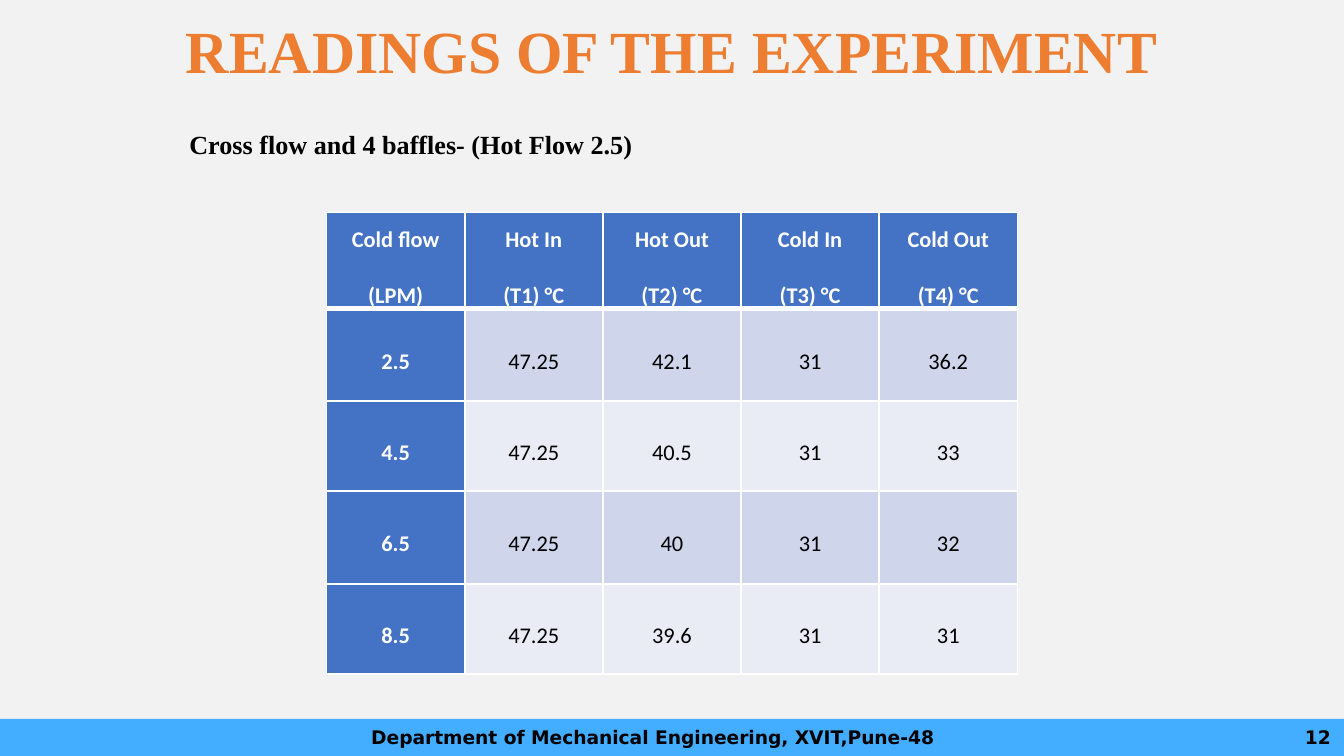
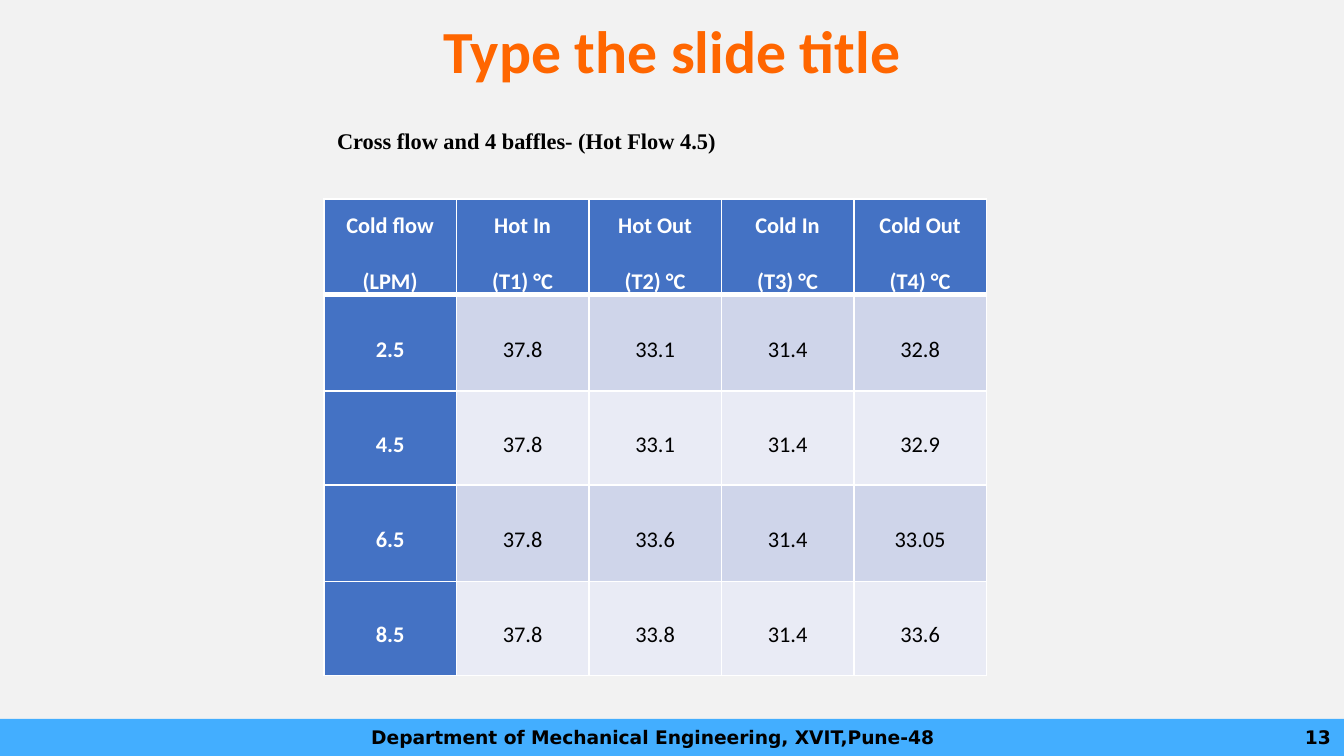
import pptx
import pptx.dml.color
import pptx.enum.shapes
import pptx.enum.text
import pptx.oxml
import pptx.oxml.ns
import pptx.util

WIDTH, HEIGHT = 10, 5.625
TITLE_ONLY = 5

BACKGROUND = "F2F2F2"
BAND = "43AEFF"
HEADER = "4472C4"
STRIPES = ("CFD5EA", "E9EBF5")
WHITE, BLACK = "FFFFFF", "000000"

SANS, SERIF, FOOTER_FONT = "Calibri", "Times New Roman", "DejaVu Sans"
ALIGN = pptx.enum.text.PP_ALIGN
ANCHOR = pptx.enum.text.MSO_ANCHOR

FOOTER = "Department of Mechanical Engineering, XVIT,Pune-48"
HEADINGS = ("Cold flow\n(LPM)", "Hot In\n(T1) °C", "Hot Out\n(T2) °C",
            "Cold In\n(T3) °C", "Cold Out\n(T4) °C")

# Boxes are left, top, width and height in percent of the slide.
TITLE_BOX = (6.9, 0, 86.2, 14.2)
BAND_BOX = (0, 95.1, 100, 4.9)
NUMBER_BOX = (94.1, 94.9, 5.9, 5.3)
FOOTER_BOX = (0, 94.8, 97.1, 5.3)

PAGES = (
    {
        "number": "12",
        "title": ("READINGS OF THE EXPERIMENT", SERIF, "ED7D31"),
        "subtitle": "Cross flow and 4 baffles- (Hot Flow 2.5)",
        "subtitle_box": (13.1, 14, 35.2, 13.2),
        "subtitle_size": 14,
        "subtitle_inset": 3,
        "table_box": (24.3, 28.1, 51.4, 60.6),
        "row_heights": (11.9, 12.3),
        "readings": (
            ("2.5", "47.25", "42.1", "31", "36.2"),
            ("4.5", "47.25", "40.5", "31", "33"),
            ("6.5", "47.25", "40", "31", "32"),
            ("8.5", "47.25", "39.6", "31", "31"),
        ),
    },
    {
        "number": "13",
        "title": ("Type the slide title", SANS, "FF6600"),
        "subtitle": "Cross flow and 4 baffles- (Hot Flow 4.5)",
        "subtitle_box": (24.1, 15.5, 30.5, 30.6),
        "subtitle_size": 12,
        "subtitle_inset": 1.3,
        "table_box": (24.1, 26.3, 49.3, 63),
        "row_heights": (12.4, 12.8),
        "readings": (
            ("2.5", "37.8", "33.1", "31.4", "32.8"),
            ("4.5", "37.8", "33.1", "31.4", "32.9"),
            ("6.5", "37.8", "33.6", "31.4", "33.05"),
            ("8.5", "37.8", "33.8", "31.4", "33.6"),
        ),
    },
)


def across(percent):
    return pptx.util.Inches(WIDTH * percent / 100)


def down(percent):
    return pptx.util.Inches(HEIGHT * percent / 100)


def place(box):
    left, top, width, height = box
    return across(left), down(top), across(width), down(height)


def color(value):
    return pptx.dml.color.RGBColor.from_string(value)


def paint(fill, value):
    fill.solid()
    fill.fore_color.rgb = color(value)


def write(frame, text, font, size, ink=BLACK, bold=True, align=ALIGN.CENTER,
          line_spacing=None, space_after=None):
    frame.text = text
    for para in frame.paragraphs:
        para.alignment = align
        para.line_spacing = line_spacing
        para.space_after = space_after
        for span in para.runs:
            span.font.name = font
            span.font.size = pptx.util.Pt(size)
            span.font.bold = bold
            span.font.color.rgb = color(ink)


def add_title(page, text, font, ink):
    title = page.shapes.title
    title.left, title.top, title.width, title.height = place(TITLE_BOX)
    title.text_frame.vertical_anchor = ANCHOR.MIDDLE
    write(title.text_frame, text, font, 32, ink, line_spacing=0.9)


def add_label(page, box, text, align):
    frame = page.shapes.add_textbox(*place(box)).text_frame
    frame.word_wrap = True
    frame.vertical_anchor = ANCHOR.MIDDLE
    write(frame, text, FOOTER_FONT, 10, align=align)


def add_footer(page, number):
    band = page.shapes.add_shape(
        pptx.enum.shapes.MSO_SHAPE.RECTANGLE, *place(BAND_BOX))
    band.shadow.inherit = False
    paint(band.fill, BAND)
    band.line.fill.background()
    add_label(page, NUMBER_BOX, number, ALIGN.RIGHT)
    add_label(page, FOOTER_BOX, FOOTER, ALIGN.CENTER)


def add_subtitle(page, text, box, size, inset):
    frame = page.shapes.add_textbox(*place(box)).text_frame
    frame.word_wrap = False
    frame.vertical_anchor = ANCHOR.TOP
    frame.margin_top = down(inset)
    write(frame, text, SERIF, size, align=ALIGN.LEFT)


def add_borders(cell, top, bottom):
    """Draw white borders; must run before the cell is filled."""
    properties = cell._tc.get_or_add_tcPr()
    for side, points in (("L", 1), ("R", 1), ("T", top), ("B", bottom)):
        properties.append(pptx.oxml.parse_xml(
            f'<a:ln{side} {pptx.oxml.ns.nsdecls("a")} w="{pptx.util.Pt(points)}">'
            f'<a:solidFill><a:srgbClr val="{WHITE}"/></a:solidFill></a:ln{side}>'))


def format_cell(cell, text, row, column):
    is_heading = row == 0 or column == 0
    add_borders(cell, top=3 if row == 1 else 1, bottom=3 if row == 0 else 1)
    paint(cell.fill, HEADER if is_heading else STRIPES[(row - 1) % 2])
    cell.vertical_anchor = ANCHOR.MIDDLE
    cell.margin_left = cell.margin_right = pptx.util.Inches(0.07)
    cell.margin_top = cell.margin_bottom = 0
    write(cell.text_frame, text, SANS, 12, WHITE if is_heading else BLACK,
          is_heading, line_spacing=1.5, space_after=pptx.util.Pt(8))


def add_readings(page, readings, box, row_heights):
    rows = (HEADINGS, *readings)
    table = page.shapes.add_table(len(rows), len(HEADINGS), *place(box)).table
    for column in table.columns:
        column.width = across(box[2] / len(HEADINGS))
    for row, values in enumerate(rows):
        table.rows[row].height = down(row_heights[row % 2])
        for column, text in enumerate(values):
            format_cell(table.cell(row, column), text, row, column)


def main():
    deck = pptx.Presentation()
    deck.slide_width = pptx.util.Inches(WIDTH)
    deck.slide_height = pptx.util.Inches(HEIGHT)
    paint(deck.slide_master.background.fill, BACKGROUND)
    for content in PAGES:
        page = deck.slides.add_slide(deck.slide_layouts[TITLE_ONLY])
        add_title(page, *content["title"])
        add_footer(page, content["number"])
        add_readings(page, content["readings"], content["table_box"],
                     content["row_heights"])
        add_subtitle(page, content["subtitle"], content["subtitle_box"],
                     content["subtitle_size"], content["subtitle_inset"])
    deck.save("out.pptx")


if __name__ == "__main__":
    main()
